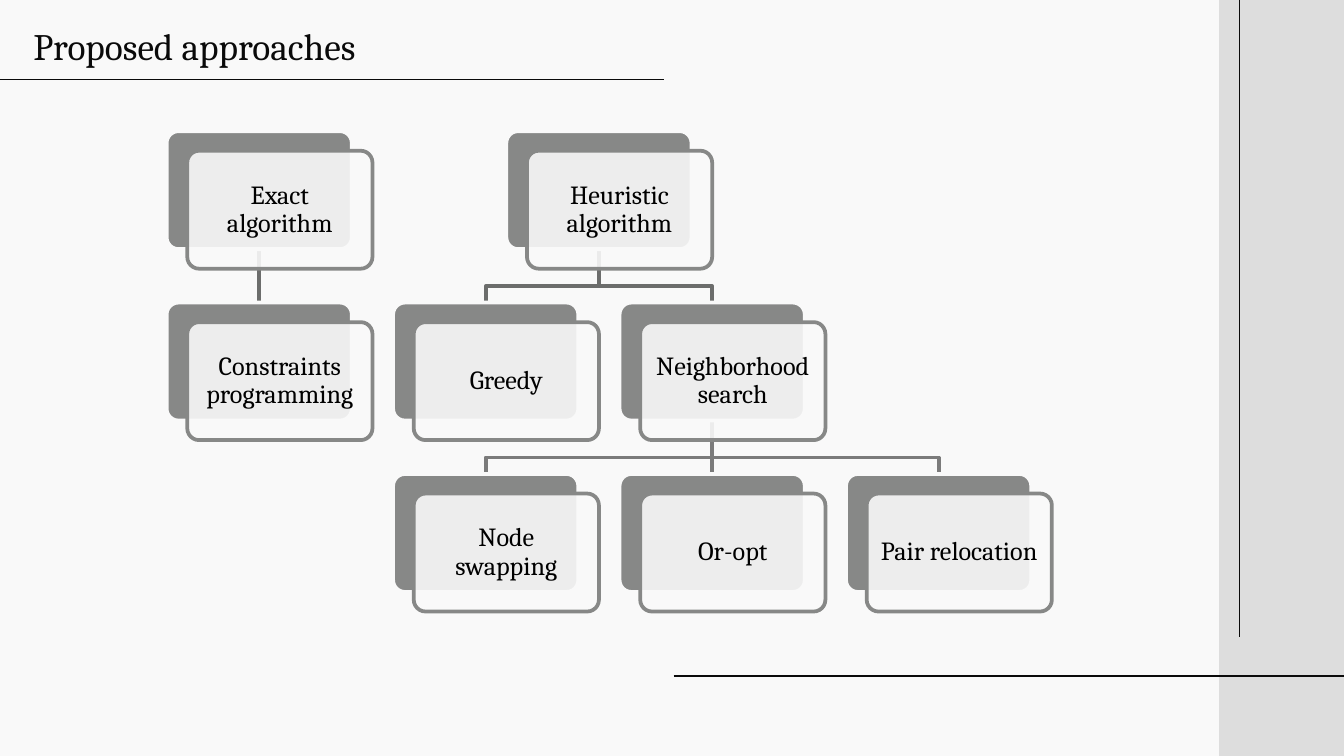
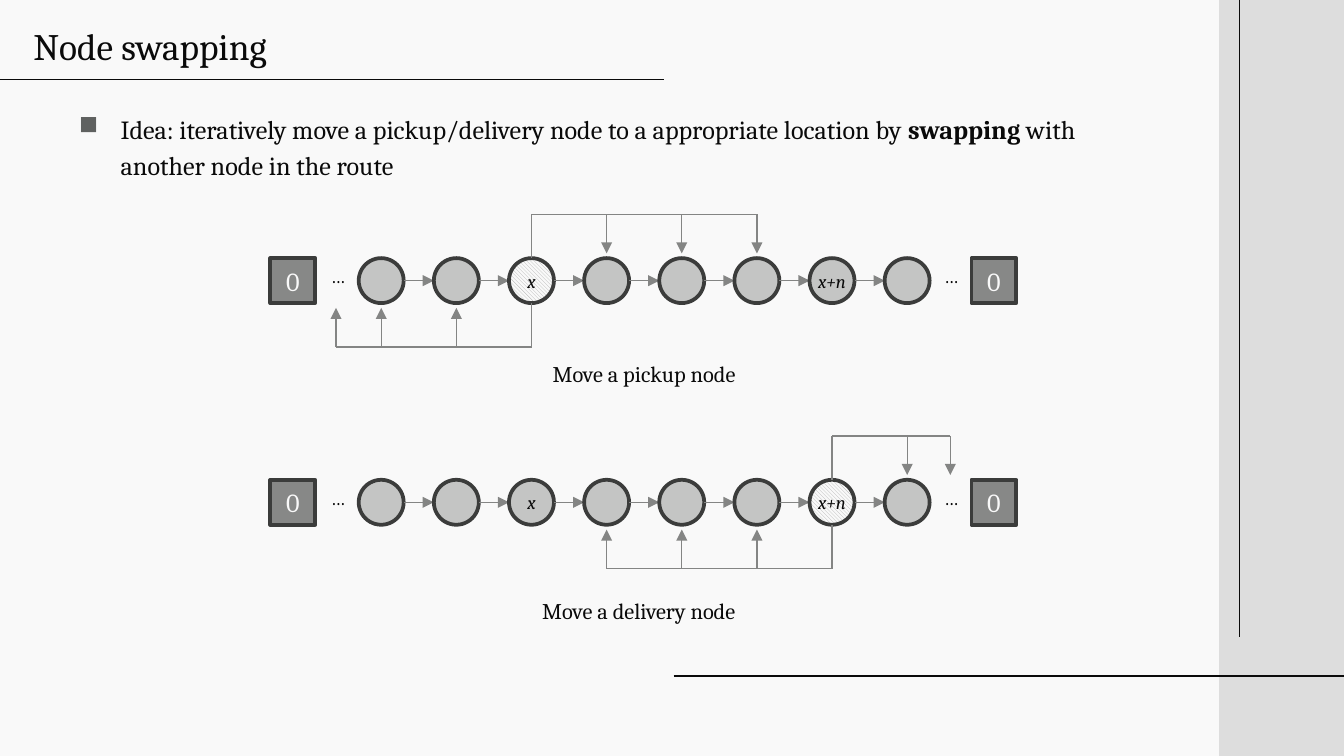
from lxml import etree
from pptx import Presentation
from pptx.dml.color import RGBColor
from pptx.enum.dml import MSO_PATTERN
from pptx.enum.shapes import MSO_CONNECTOR, MSO_SHAPE
from pptx.enum.text import MSO_ANCHOR, PP_ALIGN
from pptx.oxml.ns import qn
from pptx.util import Cm, Pt

LEFT, CENTER = PP_ALIGN.LEFT, PP_ALIGN.CENTER
TOP, MIDDLE = MSO_ANCHOR.TOP, MSO_ANCHOR.MIDDLE
RECT, ROUND, OVAL = MSO_SHAPE.RECTANGLE, MSO_SHAPE.ROUNDED_RECTANGLE, MSO_SHAPE.OVAL
STRAIGHT = MSO_CONNECTOR.STRAIGHT
HATCH = MSO_PATTERN.DARK_DOWNWARD_DIAGONAL

FONT = "Cambria"
PAPER, INK, BAND = "F9F9F9", "0A0A0A", "DDDDDD"
GRAY, DARK, ARROW, STRIPE = "878887", "3B3C3B", "848584", "B3B4B3"
BULLET = "5F6160"
LINKS = ["6C6D6C", "7B7B7B"]

WIDTH, HEIGHT = 25.4, 14.29

BOX_W, BOX_H = 3.5, 2.23
COL, ROW = 4.28, 3.24
TREE_X, TREE_Y = 3.15, 2.48
SHIFT_X, SHIFT_Y = 0.39, 0.37
ELBOW = 0.7
TREE = {
    "Exact algorithm": (0, 0, None),
    "Constraints programming": (0, 1, "Exact algorithm"),
    "Heuristic algorithm": (1.5, 0, None),
    "Greedy": (1, 1, "Heuristic algorithm"),
    "Neighborhood search": (2, 1, "Heuristic algorithm"),
    "Node swapping": (1, 2, "Neighborhood search"),
    "Or-opt": (2, 2, "Neighborhood search"),
    "Pair relocation": (3, 2, "Neighborhood search"),
}

NODE, STEP, NODE_X, COUNT = 0.85, 1.42, 6.78, 8
DEPOTS = [5.11, 18.36]
DOTS = [5.99, 17.58]
LABELS = {2: "x", 6: "x+n"}
REACH, GAP = 0.83, 0.09
BEFORE, AFTER = 6.35, 17.96


def color(code):
    return RGBColor.from_string(code)


def write(frame, text, size=14, ink=INK, align=CENTER, anchor=TOP,
          inset=(0.25, 0.25), wrap=True, spacing=None, italic=False):
    frame.word_wrap = wrap
    frame.vertical_anchor = anchor
    frame.margin_left = frame.margin_right = Cm(inset[0])
    frame.margin_top = frame.margin_bottom = Cm(inset[1])
    par = frame.paragraphs[0]
    par.alignment = align
    if spacing:
        par.line_spacing = spacing
    pieces = [(text, False)] if isinstance(text, str) else text
    for words, bold in pieces:
        run = par.add_run()
        run.text = words
        font = run.font
        font.name, font.size = FONT, Pt(size)
        font.bold, font.italic = bold, italic
        font.color.rgb = color(ink)
    return par


def label(slide, text, x, y, w, h, **style):
    box = slide.shapes.add_textbox(Cm(x), Cm(y), Cm(w), Cm(h))
    return write(box.text_frame, text, **style)


def shape(slide, kind, x, y, w, h, fill, edge=None, alpha=None):
    item = slide.shapes.add_shape(kind, Cm(x), Cm(y), Cm(w), Cm(h))
    item.shadow.inherit = False
    item.fill.solid()
    item.fill.fore_color.rgb = color(fill)
    if alpha:
        tint = item.fill._xPr.find(f".//{qn('a:srgbClr')}")
        etree.SubElement(tint, qn("a:alpha"), val=str(alpha * 1000))
    if edge:
        item.line.color.rgb = color(edge)
        item.line.width = Pt(2)
    else:
        item.line.fill.background()
    return item


def line(slide, x1, y1, x2, y2, ink=ARROW, width=0.75, head=False):
    item = slide.shapes.add_connector(STRAIGHT, Cm(x1), Cm(y1), Cm(x2), Cm(y2))
    item.line.color.rgb = color(ink)
    item.line.width = Pt(width)
    if head:
        etree.SubElement(item.line._get_or_add_ln(), qn("a:tailEnd"), type="triangle")
    etree.SubElement(item._element.spPr, qn("a:effectLst"))
    return item


def page(deck, title):
    slide = deck.slides.add_slide(deck.slide_layouts[5])
    shape(slide, RECT, 23.04, 0, WIDTH - 23.04, HEIGHT, BAND)
    line(slide, -0.15, 1.5, 12.55, 1.5, INK)
    line(slide, 12.73, 12.78, WIDTH, 12.78, INK)
    line(slide, 23.42, 0, 23.42, 12.04, INK)
    head = slide.shapes.title
    head.left, head.top, head.width, head.height = Cm(0.38), Cm(0.18), Cm(9.4), Cm(1.83)
    write(head.text_frame, title, size=20, align=LEFT)
    return slide


def card(slide, text, col, row):
    x, y = TREE_X + col * COL, TREE_Y + row * ROW
    back = shape(slide, ROUND, x, y, BOX_W, BOX_H, GRAY, PAPER)
    front = shape(slide, ROUND, x + SHIFT_X, y + SHIFT_Y, BOX_W, BOX_H, PAPER, GRAY, 90)
    for item in (back, front):
        item.adjustments[0] = 0.1
    write(front.text_frame, text, ink="000000", anchor=MIDDLE,
          inset=(0.15, 0.15), spacing=0.9)
    return back


def link(slide, top, low, ink):
    x1, y1 = top.left + top.width // 2, top.top + top.height
    x2, y2 = low.left + low.width // 2, low.top
    if x1 == x2:
        item = line(slide, 0, 0, 1, 1, ink, 2)
        item.begin_connect(top, 2)
        item.end_connect(low, 0)
    else:
        bend = y1 + Cm(ELBOW)
        path = slide.shapes.build_freeform(x1, y1)
        path.add_line_segments([(x1, bend), (x2, bend), (x2, y2)], close=False)
        item = path.convert_to_shape()
        item.shadow.inherit = False
        item.fill.background()
        item.line.color.rgb = color(ink)
        item.line.width = Pt(2)
    slide.shapes._spTree.insert(2, item._element)


def tree(slide):
    cards = {name: card(slide, name, col, row) for name, (col, row, _) in TREE.items()}
    for name, (_, row, top) in TREE.items():
        if top:
            link(slide, cards[top], cards[name], LINKS[row - 1])


def mid(i):
    return NODE_X + i * STEP + NODE / 2


def route(slide, y, moved):
    for i in range(COUNT):
        x = NODE_X + i * STEP
        node = shape(slide, OVAL, x, y, NODE, NODE, GRAY, DARK, 46)
        if i == moved:
            node.fill.patterned()
            node.fill.pattern = HATCH
            node.fill.fore_color.rgb = color(STRIPE)
            node.fill.back_color.rgb = color(PAPER)
        if i in LABELS:
            write(node.text_frame, LABELS[i], size=10, anchor=MIDDLE,
                  inset=(0.25, 0.13), wrap=False, italic=True)
        if i < COUNT - 1:
            line(slide, x + NODE, y + NODE / 2, x + STEP, y + NODE / 2, head=True)
    for x in DEPOTS:
        depot = shape(slide, RECT, x, y, NODE, NODE, GRAY, DARK)
        write(depot.text_frame, "0", ink=PAPER, anchor=MIDDLE, inset=(0.25, 0.13))
    for x in DOTS:
        label(slide, "…", x, y, 0.79, 0.69, size=10, anchor=MIDDLE,
              inset=(0.25, 0.13), wrap=False)


def fork(slide, y, moved, ends, up):
    edge = y if up else y + NODE
    way = -1 if up else 1
    bar = edge + way * REACH
    start = mid(moved)
    line(slide, start, edge, start, bar)
    line(slide, start, bar, max(ends, key=lambda x: abs(x - start)), bar)
    for x in ends:
        line(slide, x, bar, x, edge + way * GAP, head=True)


def idea(slide):
    par = label(slide, [
        ("Idea: iteratively move a pickup/delivery node to a appropriate location by ", False),
        ("swapping", True),
        (" with another node in the route", False),
    ], 1.24, 1.8, 20.52, 2.59, align=LEFT, spacing=1.15)
    props = par._p.get_or_add_pPr()
    props.set("marL", str(Cm(0.79)))
    props.set("indent", str(-Cm(0.79)))
    tint = etree.SubElement(props, qn("a:buClr"))
    etree.SubElement(tint, qn("a:srgbClr"), val=BULLET)
    etree.SubElement(props, qn("a:buChar"), char="■")


def swaps(slide):
    inner = [mid(i) for i in (3, 4, 5)]
    plans = [
        (4.88, 2, inner, [BEFORE, mid(0), mid(1)], "Move a pickup node", 8.38, 6.48),
        (9.07, 6, [mid(7), AFTER], inner, "Move a delivery node", 8.28, 10.97),
    ]
    for y, moved, above, below, text, x, base in plans:
        route(slide, y, moved)
        fork(slide, y, moved, above, True)
        fork(slide, y, moved, below, False)
        label(slide, text, x, base, 7.59, 1.07, size=12, spacing=1.15)


def main():
    deck = Presentation()
    deck.slide_width, deck.slide_height = Cm(WIDTH), Cm(HEIGHT)
    fill = deck.slide_master.background.fill
    fill.solid()
    fill.fore_color.rgb = color(PAPER)
    tree(page(deck, "Proposed approaches"))
    slide = page(deck, "Node swapping")
    idea(slide)
    swaps(slide)
    deck.save("out.pptx")


if __name__ == "__main__":
    main()
